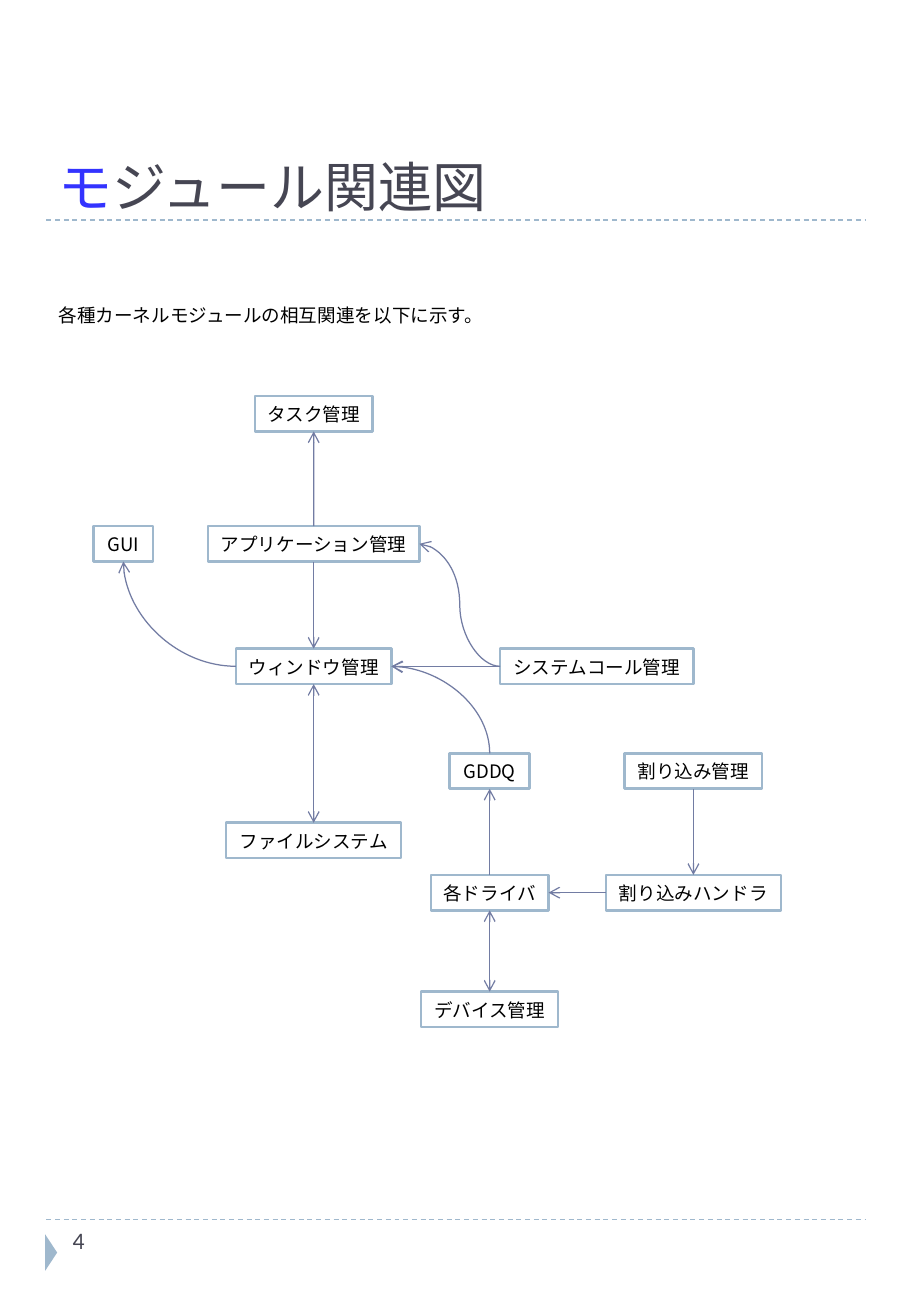
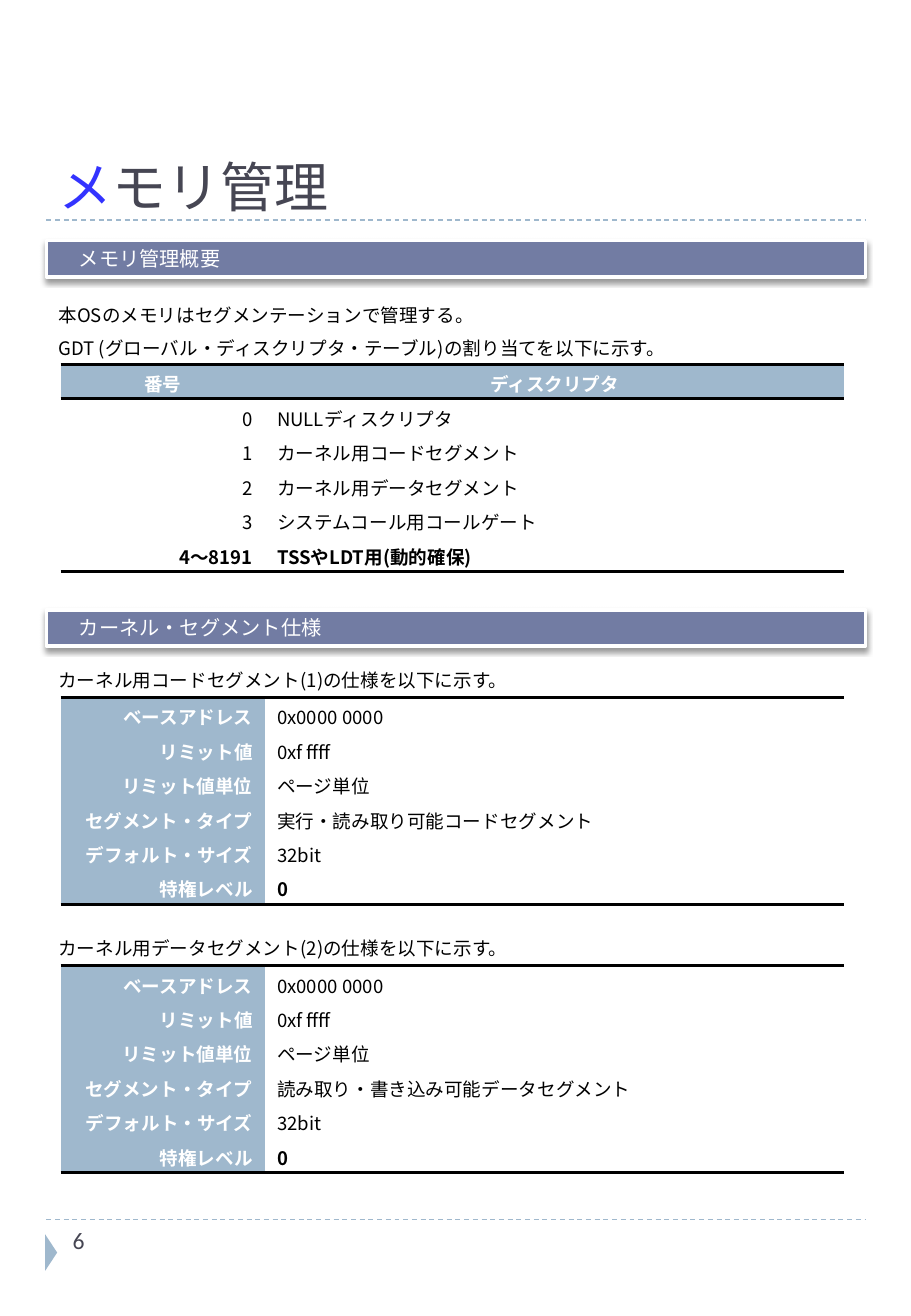
from lxml.etree import SubElement
from pptx import Presentation
from pptx.dml.color import RGBColor
from pptx.enum.dml import MSO_LINE
from pptx.enum.shapes import MSO_CONNECTOR, MSO_SHAPE
from pptx.enum.text import MSO_ANCHOR, MSO_AUTO_SIZE, PP_ALIGN
from pptx.oxml.ns import qn
from pptx.util import Cm, Pt

INK, NAVY, ACCENT = "000000", "464653", "3333FF"
SLATE, SKY, WHITE = "727CA3", "9FB8CD", "FFFFFF"
GOTHIC, SLAB, CALIBRI = "Noto Sans CJK JP", "Roboto Slab", "Calibri"
LEFT, WIDTH = 0.97, 17.13
LINE_HEIGHT, ROW_HEIGHT = 0.74, 0.72
TOP, SIDE_L, BOTTOM, SIDE_R = range(4)
NO_GRID_STYLE = "{2D5ABB26-0587-4C30-8999-92F81FD0307C}"

# name: (centre x, top, width) in cm
MODULES = {
    "タスク管理": (6.56, 8.28, 2.46),
    "GUI": (2.58, 11, 1.24),
    "アプリケーション管理": (6.56, 11, 4.42),
    "ウィンドウ管理": (6.56, 13.56, 3.25),
    "システムコール管理": (12.48, 13.56, 4.04),
    "GDDQ": (10.24, 15.75, 1.68),
    "割り込み管理": (14.5, 15.75, 2.87),
    "ファイルシステム": (6.56, 17.2, 3.66),
    "各ドライバ": (10.24, 18.29, 2.46),
    "割り込みハンドラ": (14.5, 18.29, 3.66),
    "デバイス管理": (10.24, 20.73, 2.87),
}
# start, its side, end, its side, arrowheads, preset
RELATIONS = [
    ("アプリケーション管理", TOP, "タスク管理", BOTTOM, ["tail"], "line"),
    ("アプリケーション管理", BOTTOM, "ウィンドウ管理", TOP, ["tail"], "line"),
    ("ウィンドウ管理", BOTTOM, "ファイルシステム", TOP, ["head", "tail"], "line"),
    ("システムコール管理", SIDE_L, "ウィンドウ管理", SIDE_R, ["tail"], "line"),
    ("各ドライバ", TOP, "GDDQ", BOTTOM, ["tail"], "line"),
    ("各ドライバ", BOTTOM, "デバイス管理", TOP, ["head", "tail"], "line"),
    ("割り込み管理", BOTTOM, "割り込みハンドラ", TOP, ["tail"], "line"),
    ("割り込みハンドラ", SIDE_L, "各ドライバ", SIDE_R, ["tail"], "line"),
    ("ウィンドウ管理", SIDE_L, "GUI", BOTTOM, ["tail"], "curvedConnector2"),
    ("ウィンドウ管理", SIDE_R, "GDDQ", TOP, ["head"], "curvedConnector2"),
    ("システムコール管理", SIDE_L, "アプリケーション管理", SIDE_R, ["tail"],
     "curvedConnector3"),
]

DESCRIPTORS = [
    ("番号", "ディスクリプタ"),
    ("0", "NULLディスクリプタ"),
    ("1", "カーネル用コードセグメント"),
    ("2", "カーネル用データセグメント"),
    ("3", "システムコール用コールゲート"),
    ("4～8191", "TSSやLDT用(動的確保)"),
]
# caption, caption top, segment type
SEGMENTS = [
    ("カーネル用コードセグメント(1)の仕様を以下に示す。", 13.84,
     "実行・読み取り可能コードセグメント"),
    ("カーネル用データセグメント(2)の仕様を以下に示す。", 19.45,
     "読み取り・書き込み可能データセグメント"),
]


def color(hex_code):
    return RGBColor.from_string(hex_code)


def place(shape, left, top, width, height):
    shape.left, shape.top = Cm(left), Cm(top)
    shape.width, shape.height = Cm(width), Cm(height)


def paint(shape, fill, line=None, line_width=1.5):
    shape.shadow.inherit = False
    shape.fill.solid()
    shape.fill.fore_color.rgb = color(fill)
    if line:
        shape.line.color.rgb = color(line)
        shape.line.width = Pt(line_width)
    else:
        shape.line.fill.background()


def add_run(paragraph, text, ink=INK, size=11, font=GOTHIC, bold=False):
    run = paragraph.add_run()
    run.text = text
    run.font.name, run.font.size, run.font.bold = font, Pt(size), bold
    run.font.color.rgb = color(ink)
    SubElement(run.font._element, qn("a:ea"), typeface=GOTHIC)


def set_paragraph(paragraph, align=PP_ALIGN.LEFT):
    paragraph.alignment = align
    paragraph.line_spacing = Pt(13.6)
    return paragraph


def set_frame(frame, anchor=MSO_ANCHOR.TOP, wrap=True):
    frame.word_wrap = wrap
    frame.auto_size = MSO_AUTO_SIZE.NONE
    frame.vertical_anchor = anchor
    return frame


def style_connector(connector, ink, dash=None):
    connector.line.color.rgb = color(ink)
    connector.line.width = Pt(0.75)
    if dash:
        connector.line.dash_style = dash
    SubElement(connector.element.spPr, qn("a:effectLst"))


def prepare_layout(layout, slide):
    """Move the shared rules and page marker from the slide to its layout."""
    for holder in list(layout.placeholders):
        if holder.placeholder_format.idx > 1:
            holder.element.getparent().remove(holder.element)
    title, body = layout.placeholders
    place(title, LEFT, 0.61, WIDTH, 3.96)
    place(body, LEFT, 6.22, WIDTH, LINE_HEIGHT)
    shared = []
    for y in (25.5, 4.6):
        rule = slide.shapes.add_connector(
            MSO_CONNECTOR.STRAIGHT, Cm(LEFT), Cm(y), Cm(LEFT + WIDTH), Cm(y))
        style_connector(rule, SKY, MSO_LINE.DASH)
        shared.append(rule)
    marker = slide.shapes.add_shape(
        MSO_SHAPE.ISOSCELES_TRIANGLE, Cm(0.69), Cm(26.06), Cm(0.76), Cm(0.25))
    marker.rotation = 90
    paint(marker, SKY)
    for shape in shared + [marker]:
        layout.shapes.element.append(shape.element)


def fill_slide(slide, title, page, lines):
    heading = set_frame(slide.shapes.title.text_frame, MSO_ANCHOR.BOTTOM)
    heading.margin_bottom = 0
    paragraph = heading.paragraphs[0]
    paragraph.alignment = PP_ALIGN.LEFT
    add_run(paragraph, title[0], ACCENT, 32, SLAB)
    add_run(paragraph, title[1:], NAVY, 32, SLAB)

    body = set_frame(slide.placeholders[1].text_frame)
    for i, line in enumerate(lines):
        paragraph = set_paragraph(body.add_paragraph() if i else body.paragraphs[0])
        paragraph.space_before = Pt(6 if i else 0)
        properties = paragraph._p.get_or_add_pPr()
        properties.set("marL", "0")
        properties.set("indent", "0")
        SubElement(properties, qn("a:buNone"))
        add_run(paragraph, line)

    number = slide.shapes.add_textbox(Cm(1.27), Cm(25.5), Cm(4.11), Cm(1.47))
    add_run(set_frame(number.text_frame).paragraphs[0], page, NAVY, 14, CALIBRI)


def add_module(slide, name, center, top, width):
    module = slide.shapes.add_shape(MSO_SHAPE.RECTANGLE, Cm(center - width / 2),
                                    Cm(top), Cm(width), Cm(LINE_HEIGHT))
    paint(module, WHITE, SKY)
    frame = set_frame(module.text_frame, MSO_ANCHOR.MIDDLE, wrap=False)
    add_run(set_paragraph(frame.paragraphs[0], PP_ALIGN.CENTER), name)
    return module


def add_relation(slide, start, start_side, end, end_side, heads, preset):
    kind = MSO_CONNECTOR.STRAIGHT if preset == "line" else MSO_CONNECTOR.CURVE
    relation = slide.shapes.add_connector(kind, 0, 0, 0, 0)
    relation.begin_connect(start, start_side)
    relation.end_connect(end, end_side)
    relation.element.spPr.find(qn("a:prstGeom")).set("prst", preset)
    style_connector(relation, SLATE)
    for head in heads:
        SubElement(relation.line._get_or_add_ln(), qn(f"a:{head}End"),
                   type="arrow", w="med", len="med")


def add_band(slide, text, top):
    band = slide.shapes.add_shape(MSO_SHAPE.RECTANGLE, Cm(LEFT), Cm(top),
                                  Cm(WIDTH), Cm(0.76))
    paint(band, SLATE, WHITE, 2)
    effects = band.element.spPr.find(qn("a:effectLst"))
    shadow = SubElement(effects, qn("a:outerShdw"), blurRad=str(Pt(3)),
                        dist=str(Pt(2)), dir="5400000", rotWithShape="0")
    tint = SubElement(shadow, qn("a:srgbClr"), val=INK)
    SubElement(tint, qn("a:alpha"), val="40000")
    frame = set_frame(band.text_frame, MSO_ANCHOR.MIDDLE)
    frame.margin_left = Cm(0.68)
    add_run(set_paragraph(frame.paragraphs[0]), text, WHITE, 12)


def add_caption(slide, text, top):
    caption = slide.shapes.add_textbox(Cm(LEFT), Cm(top), Cm(WIDTH), Cm(LINE_HEIGHT))
    add_run(set_paragraph(set_frame(caption.text_frame).paragraphs[0]), text)


def add_border(cell, side):
    properties = cell._tc.get_or_add_tcPr()
    border = SubElement(properties, qn(f"a:ln{side}"), w=str(Pt(2)))
    fill = SubElement(border, qn("a:solidFill"))
    SubElement(fill, qn("a:srgbClr"), val=INK)
    properties.insert(0, border)


def add_ruled_table(slide, rows, top, header_row=False):
    """Table with heavy rules and a tinted header row or header column."""
    table = slide.shapes.add_table(len(rows), 2, Cm(1.27), Cm(top), Cm(16.39),
                                   Cm(ROW_HEIGHT * len(rows))).table
    table.first_row = table.horz_banding = False
    table._tbl.tblPr.find(qn("a:tableStyleId")).text = NO_GRID_STYLE
    table.columns[0].width, table.columns[1].width = Cm(4.27), Cm(12.12)
    last = len(rows) - 1
    for r, row in enumerate(rows):
        table.rows[r].height = Cm(ROW_HEIGHT)
        for c, text in enumerate(row):
            cell = table.cell(r, c)
            is_header = r == 0 if header_row else c == 0
            cell.fill.solid()
            cell.fill.fore_color.rgb = color(SKY if is_header else WHITE)
            cell.vertical_anchor = MSO_ANCHOR.MIDDLE
            cell.margin_top, cell.margin_bottom = Cm(0.18), Cm(0.02)
            align = PP_ALIGN.LEFT if c else PP_ALIGN.RIGHT
            if header_row and is_header:
                align = PP_ALIGN.CENTER
            add_run(set_paragraph(cell.text_frame.paragraphs[0], align), text,
                    WHITE if is_header else INK, bold=is_header or r == last)
            if r == last or (header_row and r == 0):
                add_border(cell, "B")
            if r == 0:
                add_border(cell, "T")


def segment_rows(segment_type):
    return [
        ("ベースアドレス", "0x0000 0000"),
        ("リミット値", "0xf ffff"),
        ("リミット値単位", "ページ単位"),
        ("セグメント・タイプ", segment_type),
        ("デフォルト・サイズ", "32bit"),
        ("特権レベル", "0"),
    ]


def build_relation_slide(slide):
    fill_slide(slide, "モジュール関連図", "4",
               ["各種カーネルモジュールの相互関連を以下に示す。"])
    modules = {name: add_module(slide, name, *spot) for name, spot in MODULES.items()}
    for start, start_side, end, end_side, heads, preset in RELATIONS:
        add_relation(slide, modules[start], start_side, modules[end], end_side,
                     heads, preset)


def build_memory_slide(slide):
    fill_slide(slide, "メモリ管理", "6",
               ["本OSのメモリはセグメンテーションで管理する。",
                "GDT (グローバル・ディスクリプタ・テーブル)の割り当てを以下に示す。"])
    place(slide.placeholders[1], LEFT, 6.22, WIDTH, 1.42)
    add_ruled_table(slide, DESCRIPTORS, 7.62, header_row=True)
    for caption, top, segment_type in SEGMENTS:
        add_caption(slide, caption, top)
        add_ruled_table(slide, segment_rows(segment_type), top + LINE_HEIGHT)
    add_band(slide, "メモリ管理概要", 5.03)
    add_band(slide, "カーネル・セグメント仕様", 12.75)


def main():
    deck = Presentation()
    deck.slide_width, deck.slide_height = Cm(19.05), Cm(27.51)
    layout = deck.slide_layouts[1]
    relation_slide = deck.slides.add_slide(layout)
    prepare_layout(layout, relation_slide)
    build_relation_slide(relation_slide)
    build_memory_slide(deck.slides.add_slide(layout))
    deck.save("out.pptx")


if __name__ == "__main__":
    main()
